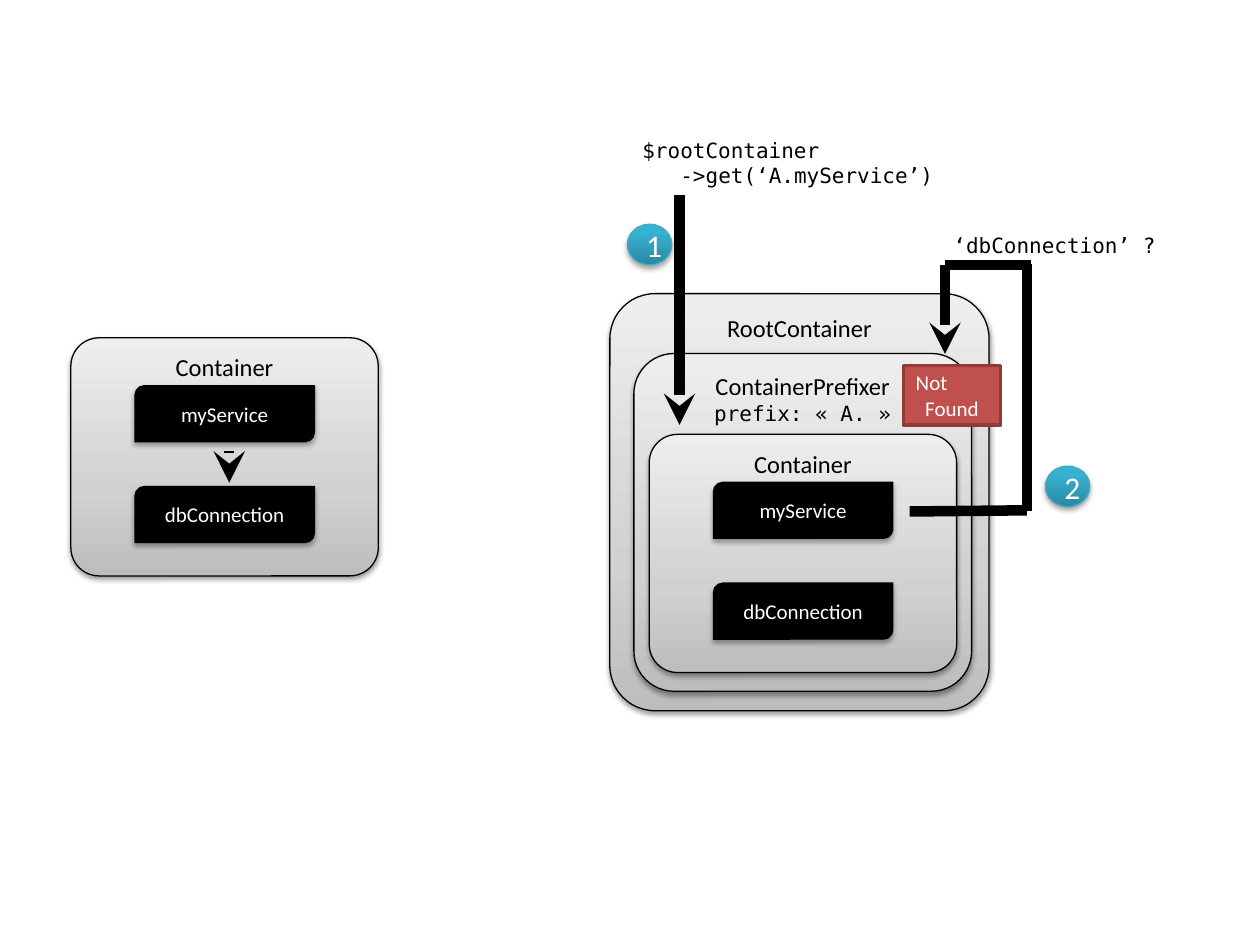
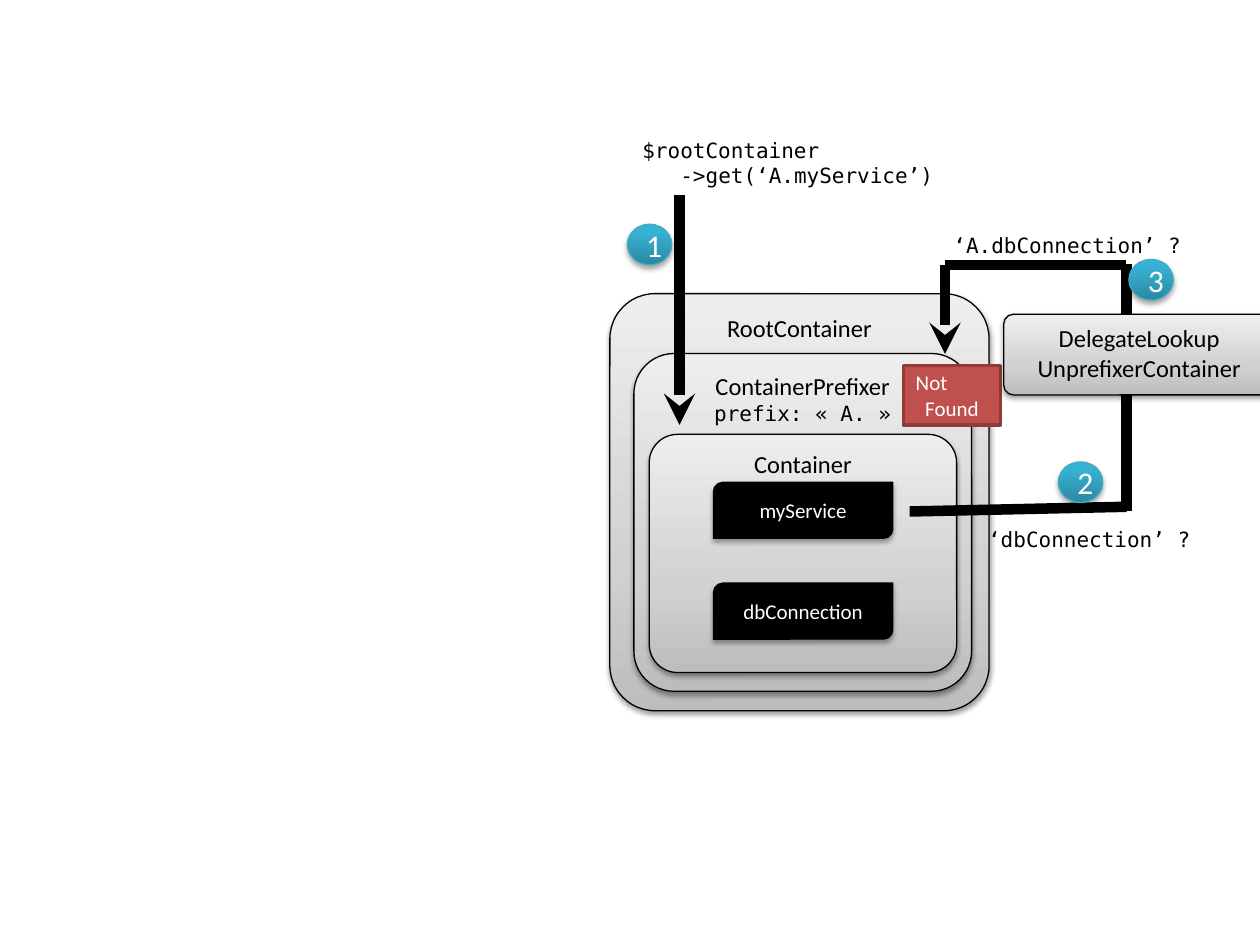
from lxml.etree import SubElement
from pptx import Presentation
from pptx.dml.color import RGBColor
from pptx.enum.shapes import MSO_CONNECTOR, MSO_SHAPE
from pptx.enum.text import MSO_ANCHOR, PP_ALIGN
from pptx.oxml.ns import qn
from pptx.util import Pt

BLACK = RGBColor(0x00, 0x00, 0x00)
WHITE = RGBColor(0xFF, 0xFF, 0xFF)
ALERT_RED = RGBColor(0xC0, 0x50, 0x4D)
ALERT_EDGE = RGBColor(0x8E, 0x3B, 0x39)
BADGE_EDGE = RGBColor(0x46, 0xAA, 0xC4)
GREY_RAMP = [(0, RGBColor(0xBD, 0xBD, 0xBD)), (35, RGBColor(0xD1, 0xD1, 0xD1)),
             (100, RGBColor(0xEE, 0xEE, 0xEE))]
TEAL_RAMP = [(0, RGBColor(0x2A, 0x88, 0xA2)), (80, RGBColor(0x37, 0xB1, 0xD2)),
             (100, RGBColor(0x34, 0xB4, 0xD6))]
SANS = "Calibri"
MONO = "DejaVu Sans Mono"
SOFT_SHADOW = (38, 1.6)
DEEP_SHADOW = (35, 1.8)
CODE_INDENT = 21.7
QUESTION_SIZE = (150, 21.8)
LOOKUP_X = 540
LOOKUP_Y = 151.4


def add_run(paragraph, text, size, font=SANS, color=BLACK):
    """Append one formatted run to a paragraph."""
    run = paragraph.add_run()
    run.text = text
    run.font.size = Pt(size)
    run.font.name = font
    run.font.color.rgb = color


def paint_ramp(shape, ramp):
    """Fill a shape with a gradient that rises from bottom to top."""
    shape.fill.gradient()
    shape.fill.gradient_angle = 90
    stops = next(shape.element.spPr.iter(qn("a:gsLst")))
    for stop in list(stops):
        stops.remove(stop)
    for percent, color in ramp:
        stop = SubElement(stops, qn("a:gs"), pos=str(percent * 1000))
        SubElement(stop, qn("a:srgbClr"), val=str(color))


def cast_shadow(shape, alpha, distance):
    """Give a shape a blurred black shadow below it."""
    effects = shape.element.spPr.find(qn("a:effectLst"))
    shadow = SubElement(effects, qn("a:outerShdw"), blurRad=str(Pt(3.1)),
                        dist=str(Pt(distance)), dir="5400000", rotWithShape="0")
    tint = SubElement(shadow, qn("a:srgbClr"), val=str(BLACK))
    SubElement(tint, qn("a:alpha"), val=str(alpha * 1000))


def add_block(slide, preset, box, fill, edge, edge_width=0.75, shadow=None):
    """Add a preset shape filled with a colour or a ramp."""
    block = slide.shapes.add_shape(preset, *(Pt(length) for length in box))
    if isinstance(fill, list):
        paint_ramp(block, fill)
    else:
        block.fill.solid()
        block.fill.fore_color.rgb = fill
    block.line.color.rgb = edge
    block.line.width = Pt(edge_width)
    block.shadow.inherit = False
    if shadow:
        cast_shadow(block, *shadow)
    block.text_frame.vertical_anchor = MSO_ANCHOR.MIDDLE
    block.text_frame.paragraphs[0].alignment = PP_ALIGN.CENTER
    return block


def add_container(slide, box, *title_lines):
    """Add a rounded grey container titled at its top."""
    container = add_block(slide, MSO_SHAPE.ROUNDED_RECTANGLE, box, GREY_RAMP, BLACK,
                          shadow=SOFT_SHADOW)
    container.adjustments[0] = 0.119
    container.text_frame.vertical_anchor = MSO_ANCHOR.TOP
    title = container.text_frame.paragraphs[0]
    for index, line in enumerate(title_lines):
        if index:
            title.add_line_break()
        add_run(title, line, 14)
    return container


def add_service_container(slide, left, top):
    """Add a container holding the two services."""
    add_container(slide, (left, top, 175.7, 136.1), "Container")
    for row, name in enumerate(("myService", "dbConnection")):
        box = (left + 36.7, top + 27.4 + row * 57.6, 102.5, 32)
        service = add_block(slide, MSO_SHAPE.ROUND_2_DIAG_RECTANGLE, box, BLACK, BLACK,
                            shadow=DEEP_SHADOW)
        add_run(service.text_frame.paragraphs[0], name, 12, color=WHITE)


def add_badge(slide, number, left, top):
    """Add a numbered step badge."""
    badge = add_block(slide, MSO_SHAPE.OVAL, (left, top, 25.4, 23.2), TEAL_RAMP,
                      BADGE_EDGE, shadow=DEEP_SHADOW)
    add_run(badge.text_frame.paragraphs[0], str(number), 18, color=WHITE)


def add_path_line(slide, start, end, arrow=False):
    """Add a thick black line, with an arrowhead on request."""
    line = slide.shapes.add_connector(
        MSO_CONNECTOR.STRAIGHT, *(Pt(length) for length in (*start, *end)))
    line.line.color.rgb = BLACK
    line.line.width = Pt(6)
    properties = line._element.spPr
    if arrow:
        SubElement(properties.find(qn("a:ln")), qn("a:tailEnd"), type="stealth")
    SubElement(properties, qn("a:effectLst"))


def add_code(slide, box, first_line, *indented_lines):
    """Add monospaced code whose further lines are indented."""
    code = slide.shapes.add_textbox(*(Pt(length) for length in box)).text_frame
    code.word_wrap = True
    add_run(code.paragraphs[0], first_line, 12, MONO)
    for text in indented_lines:
        paragraph = code.add_paragraph()
        paragraph._p.get_or_add_pPr().set("marL", str(Pt(CODE_INDENT)))
        add_run(paragraph, text, 12, MONO)


def add_not_found(slide):
    """Add the red lookup failure label."""
    alert = add_block(slide, MSO_SHAPE.RECTANGLE, (516.2, 208.8, 55.6, 34), ALERT_RED,
                      ALERT_EDGE, 2).text_frame
    alert.paragraphs[0].alignment = PP_ALIGN.LEFT
    add_run(alert.paragraphs[0], "Not", 12, color=WHITE)
    found = alert.add_paragraph()
    found.alignment = PP_ALIGN.CENTER
    add_run(found, "Found", 12, color=WHITE)


def add_root_container(slide):
    """Add the nested containers and the first request."""
    add_container(slide, (348.5, 167.8, 216.7, 238.3), "RootContainer")
    prefixer = add_container(slide, (362.2, 202, 193, 193), "ContainerPrefixer")
    prefix = prefixer.text_frame.add_paragraph()
    prefix.alignment = PP_ALIGN.CENTER
    add_run(prefix, "prefix: «\u00a0A.\u00a0»", 12, MONO)
    add_path_line(slide, (388.3, 111.2), (388.3, 242.8), arrow=True)
    add_code(slide, (360, 74.9, 190, 36.4), "$rootContainer", "->get(‘A.myService’)")
    add_service_container(slide, 371, 248.2)
    add_badge(slide, 1, 358.5, 128.2)


def add_lookup(slide, turn_x, turn_y, corner_x, question):
    """Add the path from myService back to the root container."""
    add_path_line(slide, (519.8, 292.3), (turn_x, turn_y))
    add_path_line(slide, (turn_x, 292), (turn_x, 150.8))
    add_path_line(slide, (LOOKUP_X, LOOKUP_Y), (corner_x, LOOKUP_Y))
    add_path_line(slide, (LOOKUP_X, LOOKUP_Y), (LOOKUP_X, 202.3), arrow=True)
    add_code(slide, (537.8, 129.2, *QUESTION_SIZE), question)
    add_not_found(slide)


def build_plain_lookup(slide):
    """Show a lookup that fails without delegation."""
    add_root_container(slide)
    add_service_container(slide, 40.5, 193)
    add_path_line(slide, (131, 257.8), (131, 275.8), arrow=True)
    add_lookup(slide, 586.8, 291.6, 589, "‘dbConnection’ ?")
    add_badge(slide, 2, 597.4, 266.4)


def build_delegate_lookup(slide):
    """Show a lookup passing through the unprefixer."""
    add_root_container(slide)
    add_lookup(slide, 643.7, 289.6, 643.7, "‘A.dbConnection’ ?")
    add_badge(slide, 2, 604.8, 264)
    add_code(slide, (557.6, 297.4, *QUESTION_SIZE), "‘dbConnection’ ?")
    add_container(slide, (573.6, 179.6, 154.8, 46.1),
                  "DelegateLookup", "UnprefixerContainer")
    add_badge(slide, 3, 645.1, 148.3)


def main():
    """Build and save the two slides."""
    deck = Presentation()
    deck.slide_width = Pt(720)
    deck.slide_height = Pt(540)
    blank = deck.slide_layouts[6]
    for build in (build_plain_lookup, build_delegate_lookup):
        build(deck.slides.add_slide(blank))
    deck.save("out.pptx")


main()
